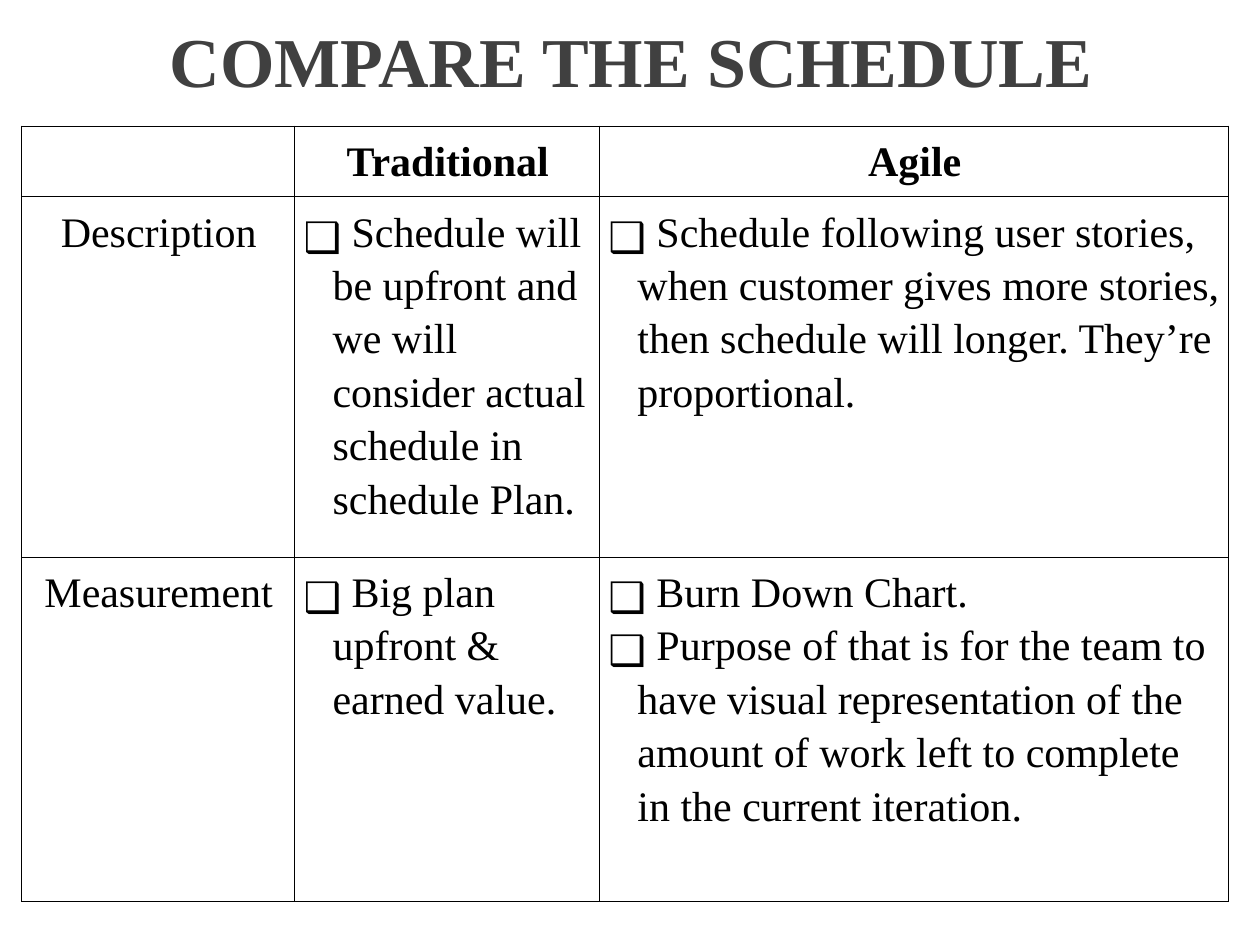
from lxml.etree import SubElement
from pptx import Presentation
from pptx.dml.color import RGBColor
from pptx.enum.text import MSO_ANCHOR, PP_ALIGN
from pptx.oxml.ns import qn
from pptx.util import Emu, Inches, Pt

FONT = "Times New Roman"
BULLET_FONT = "Noto Sans Symbols"
BLACK = "000000"
COLUMN_WIDTHS = (2.17, 2.42, 4.99)
ROW_HEIGHTS = (0.54, 2.73, 2.73)
BULLET_INDENT = 0.23

# Each cell is a list of paragraphs.
COMPARISON = [
    [[], ["Traditional"], ["Agile"]],
    [
        ["Description"],
        [" Schedule will be upfront and we will consider actual schedule in schedule Plan."],
        [" Schedule following user stories, when customer gives more stories, "
         "then schedule will longer. They’re proportional."],
    ],
    [
        ["Measurement"],
        [" Big plan upfront & earned value."],
        [" Burn Down Chart.",
         " Purpose of that is for the team to have visual representation of the "
         "amount of work left to complete in the current iteration."],
    ],
]


def color(hex_string):
    return RGBColor.from_string(hex_string)


def style_runs(paragraph, size, bold, hex_string):
    for run in paragraph.runs:
        run.font.name = FONT
        run.font.size = Pt(size)
        run.font.bold = bold
        run.font.color.rgb = color(hex_string)


def add_bullet(paragraph):
    properties = paragraph._p.get_or_add_pPr()
    properties.set("marL", str(Inches(BULLET_INDENT)))
    properties.set("indent", str(-Inches(BULLET_INDENT)))
    bullet_color = SubElement(properties, qn("a:buClr"))
    SubElement(bullet_color, qn("a:srgbClr"), val=BLACK)
    SubElement(properties, qn("a:buFont"), typeface=BULLET_FONT)
    SubElement(properties, qn("a:buChar"), char="❑")


def add_borders(cell):
    """Must run before the cell's fill is set, as borders precede it in the XML."""
    properties = cell._tc.get_or_add_tcPr()
    for side in ("a:lnL", "a:lnR", "a:lnT", "a:lnB"):
        line = SubElement(properties, qn(side), w=str(Pt(0.45)))
        fill = SubElement(line, qn("a:solidFill"))
        SubElement(fill, qn("a:srgbClr"), val=BLACK)


def fill_cell(cell, paragraphs, is_header, is_label):
    add_borders(cell)
    cell.fill.background()
    cell.margin_left, cell.margin_right = Inches(0.07), Inches(0.06)
    cell.margin_top = cell.margin_bottom = Inches(0.05)
    if not paragraphs:
        return
    cell.text_frame.text = "\n".join(paragraphs)
    for paragraph in cell.text_frame.paragraphs:
        if is_header or is_label:
            paragraph.alignment = PP_ALIGN.CENTER
        else:
            add_bullet(paragraph)
        paragraph.line_spacing = 1.15
        paragraph.space_after = Pt(0)
        style_runs(paragraph, 24, is_header, BLACK)


def add_title(slide, left, top, width, height):
    frame = slide.shapes.add_textbox(left, top, width, height).text_frame
    frame.word_wrap = True
    frame.vertical_anchor = MSO_ANCHOR.MIDDLE
    frame.text = "COMPARE THE SCHEDULE"
    style_runs(frame.paragraphs[0], 40, True, "404040")


def add_comparison(slide, left, top, width, height):
    table = slide.shapes.add_table(
        len(ROW_HEIGHTS), len(COLUMN_WIDTHS), left, top, width, height).table
    table.first_row = table.horz_banding = False
    for column, share in zip(table.columns, COLUMN_WIDTHS):
        column.width = Emu(int(width * share / sum(COLUMN_WIDTHS)))
    for row, share in zip(table.rows, ROW_HEIGHTS):
        row.height = Emu(int(height * share / sum(ROW_HEIGHTS)))
    for r, row_content in enumerate(COMPARISON):
        for c, paragraphs in enumerate(row_content):
            fill_cell(table.cell(r, c), paragraphs, r == 0, c == 0)


def main():
    presentation = Presentation()
    presentation.slide_width = Inches(10)
    presentation.slide_height = Inches(7.5)
    slide = presentation.slides.add_slide(presentation.slide_layouts[6])
    add_title(slide, Inches(1.25), 0, Inches(7.92), Inches(0.95))
    add_comparison(slide, Inches(0.17), Inches(1), Inches(9.58), Inches(6))
    presentation.save("out.pptx")


if __name__ == "__main__":
    main()
